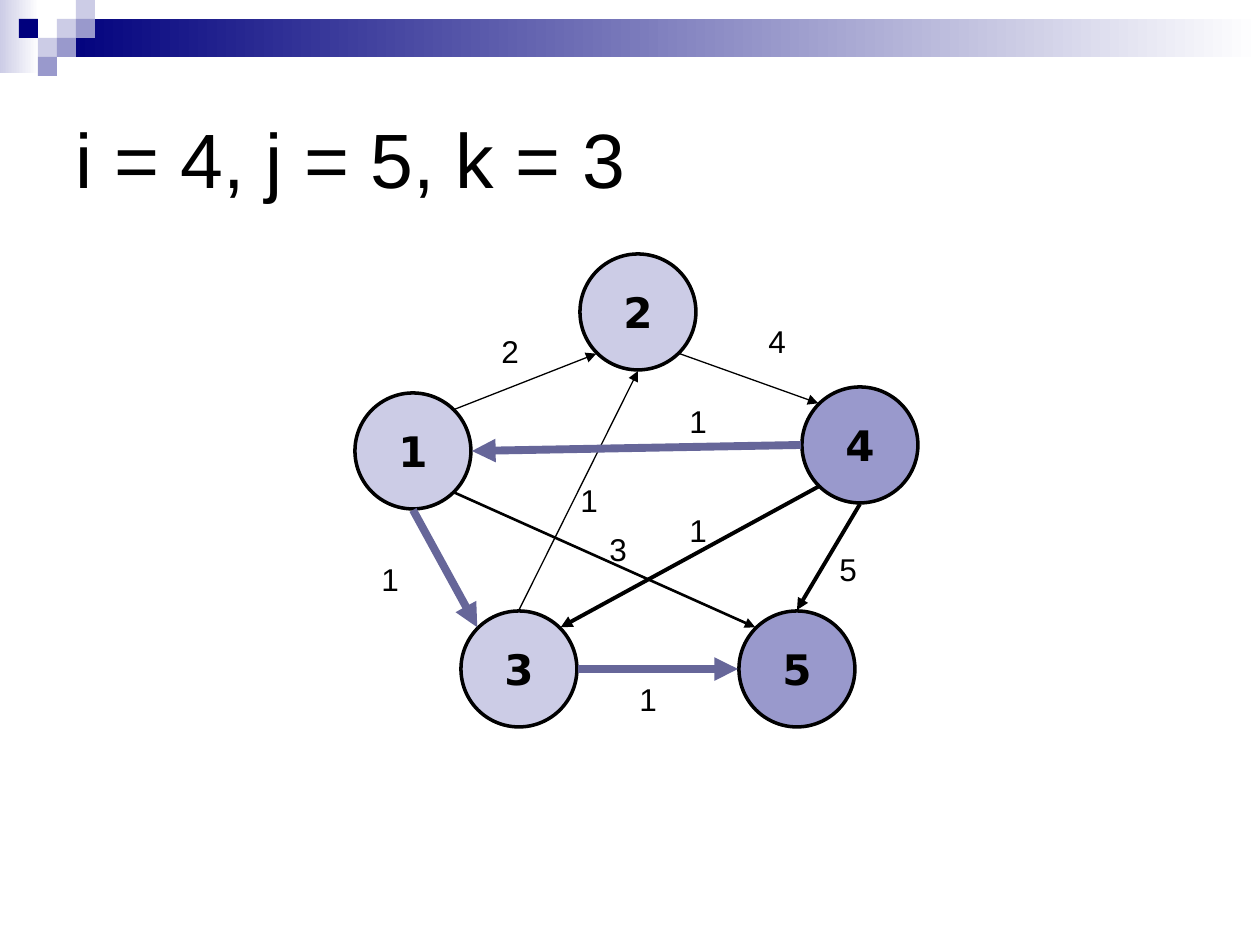
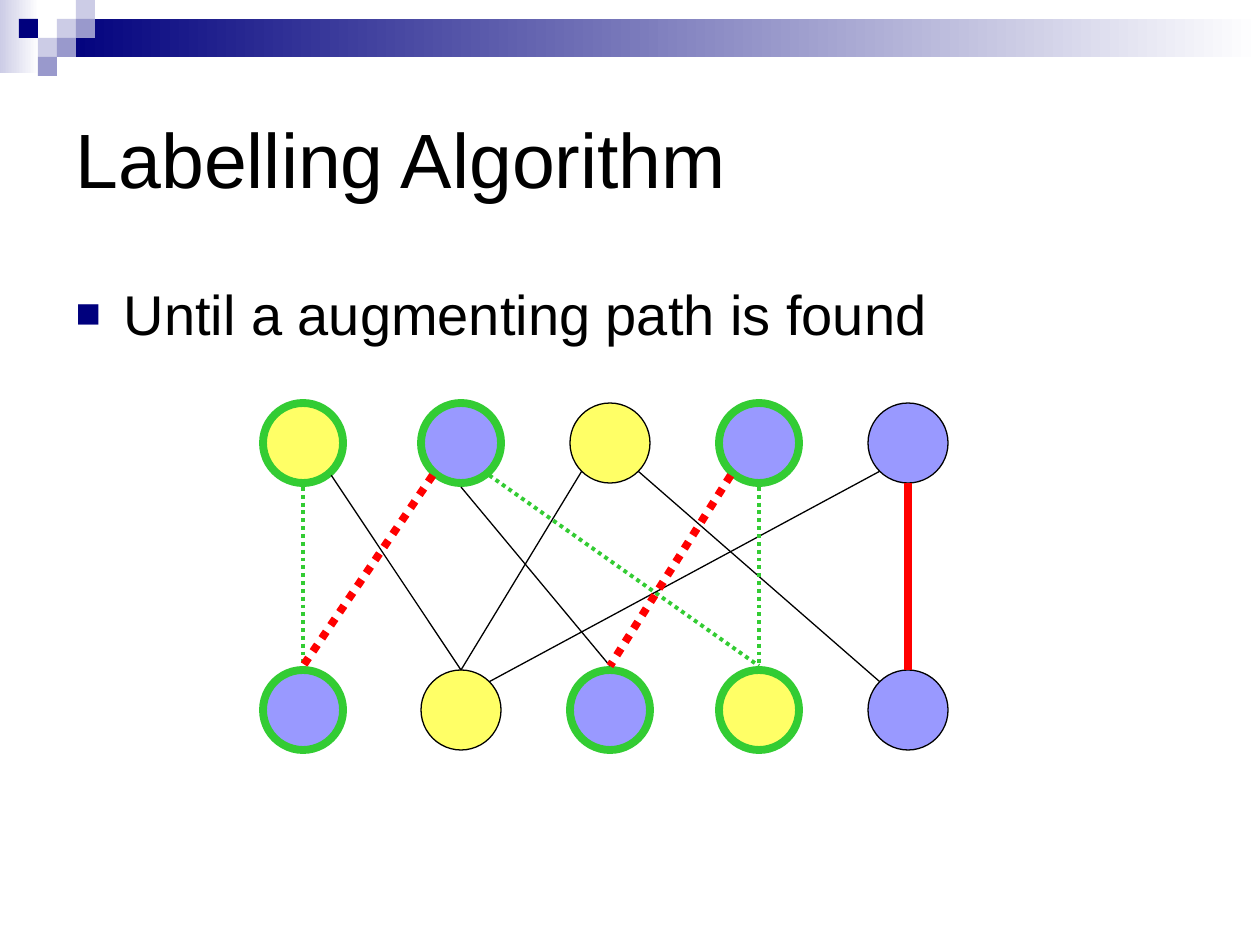
import lxml.etree
import pptx
import pptx.dml.color
import pptx.enum.dml
import pptx.enum.shapes
import pptx.enum.text
import pptx.oxml.ns
import pptx.util

RGBColor = pptx.dml.color.RGBColor
BLACK = RGBColor(0x00, 0x00, 0x00)
WHITE = RGBColor(0xFF, 0xFF, 0xFF)
NAVY = RGBColor(0x00, 0x00, 0x7D)
LAVENDER = RGBColor(0xCC, 0xCC, 0xE6)
PERIWINKLE = RGBColor(0x99, 0x99, 0xCC)
SLATE = RGBColor(0x66, 0x66, 0x99)
YELLOW = RGBColor(0xFF, 0xFF, 0x66)
VIOLET = RGBColor(0x99, 0x99, 0xFF)
GREEN = RGBColor(0x33, 0xCC, 0x33)
RED = RGBColor(0xFF, 0x00, 0x00)

MSO_SHAPE = pptx.enum.shapes.MSO_SHAPE
LEFT = pptx.enum.text.PP_ALIGN.LEFT
CENTER = pptx.enum.text.PP_ALIGN.CENTER
TOP_ANCHOR = pptx.enum.text.MSO_ANCHOR.TOP
MIDDLE_ANCHOR = pptx.enum.text.MSO_ANCHOR.MIDDLE
DOTTED = pptx.enum.dml.MSO_LINE.ROUND_DOT

EMU_PER_PX = 914400 / 126
SLIDE_WIDTH, SLIDE_HEIGHT = 1260, 945
TITLE_BOX = (63, 63, 1134, 189)
BODY_BOX = (63, 273, 1134, 536)
BULLET_INDENT = 48

GRADIENT_BANDS = [((0, 0, 39, 73), LAVENDER), ((57, 19, 1203, 38), NAVY)]
SQUARE = 19
SQUARES = [
    (3, 1, LAVENDER), (4, 0, LAVENDER), (4, 1, PERIWINKLE), (2, 2, LAVENDER),
    (1, 1, NAVY), (3, 2, PERIWINKLE), (2, 3, PERIWINKLE),
]

TITLE_FONT = {"name": "Arial", "size": pptx.util.Pt(44), "bold": False}
BODY_FONT = {"name": "Arial", "size": pptx.util.Pt(32), "bold": False}
NODE_FONT = {"name": "DejaVu Sans", "size": pptx.util.Pt(24), "bold": True}
WEIGHT_FONT = {"name": "Arial", "size": pptx.util.Pt(18), "bold": False}

DIAGONAL = 0.707
SIDES = {
    "top": (0, -1), "bottom": (0, 1), "left": (-1, 0), "right": (1, 0),
    "top left": (-DIAGONAL, -DIAGONAL), "top right": (DIAGONAL, -DIAGONAL),
    "bottom left": (-DIAGONAL, DIAGONAL), "bottom right": (DIAGONAL, DIAGONAL),
}

THIN = (BLACK, 0.75, None)
MEDIUM = (BLACK, 1.5, None)
THICK = (BLACK, 2.25, None)
SHORTEST = (SLATE, 4.5, None)
MATCHED = (RED, 4.5, None)
MATCHED_DOTS = (RED, 4.5, DOTTED)
LABELLED_DOTS = (GREEN, 2.25, DOTTED)
NODE_OUTLINE = (BLACK, 2, None)
LABELLED_OUTLINE = (GREEN, 4.5, None)

GRAPH_TITLE = "i = 4, j = 5, k = 3"
GRAPH_RADIUS = 58
GRAPH_NODES = {
    "1": (413, 451, LAVENDER),
    "2": (638, 312, LAVENDER),
    "4": (860, 445, PERIWINKLE),
    "3": (519, 669, LAVENDER),
    "5": (797, 669, PERIWINKLE),
}
GRAPH_EDGES = [
    ("1", "top right", "2", "bottom left", THIN, "2", (489, 326)),
    ("2", "bottom right", "4", "top left", THIN, "4", (756, 316)),
    ("4", "bottom", "5", "top", THICK, "5", (827, 544)),
    ("1", "bottom", "3", "top left", SHORTEST, "1", (369, 554)),
    ("1", "bottom right", "5", "top left", MEDIUM, "3", (597, 524)),
    ("4", "bottom left", "3", "top right", THICK, "1", (677, 505)),
    ("3", "right", "5", "left", SHORTEST, "1", (627, 674)),
    ("3", "top", "2", "bottom", THIN, "1", (568, 475)),
    ("4", "left", "1", "right", SHORTEST, "1", (677, 396)),
]
WEIGHT_SIZE = (43, 50)

MATCHING_TITLE = "Labelling Algorithm"
MATCHING_BULLET = "Until a augmenting path is found"
MATCHING_RADIUS = 40
OUTLINE_GAP = 4
COLUMN_CENTERS = [303, 461, 610, 759, 908]
MATCHING_ROWS = [
    (443, [(YELLOW, True), (VIOLET, True), (YELLOW, False), (VIOLET, True), (VIOLET, False)]),
    (710, [(VIOLET, True), (YELLOW, False), (VIOLET, True), (YELLOW, True), (VIOLET, False)]),
]
MATCHING_EDGES = [
    (0, "bottom right", 1, "top", THIN),
    (0, "bottom", 0, "top", LABELLED_DOTS),
    (1, "bottom right", 3, "top", LABELLED_DOTS),
    (1, "bottom", 2, "top", THIN),
    (1, "bottom left", 0, "top", MATCHED_DOTS),
    (4, "bottom left", 1, "top right", THIN),
    (4, "bottom", 4, "top", MATCHED),
    (2, "bottom right", 4, "top left", THIN),
    (3, "bottom left", 2, "top", MATCHED_DOTS),
    (3, "bottom", 3, "top", LABELLED_DOTS),
    (2, "bottom left", 1, "top", THIN),
]


def px(*lengths):
    return [pptx.util.Emu(round(length * EMU_PER_PX)) for length in lengths]


def set_attributes(target, values):
    for name, value in values.items():
        setattr(target, name, value)


def style_line(line, style):
    color, width, dash = style
    line.color.rgb = color
    line.width = pptx.util.Pt(width)
    if dash is not None:
        line.dash_style = dash


def add_filled_shape(slide, kind, box, color):
    shape = slide.shapes.add_shape(kind, *px(*box))
    shape.shadow.inherit = False
    shape.fill.solid()
    shape.fill.fore_color.rgb = color
    shape.line.fill.background()
    return shape


def write_text(shape, text, font, alignment=LEFT, anchor=TOP_ANCHOR, wrap=False):
    set_attributes(shape.text_frame, {
        "text": text,
        "word_wrap": wrap,
        "vertical_anchor": anchor,
        "auto_size": pptx.enum.text.MSO_AUTO_SIZE.NONE,
    })
    paragraph = shape.text_frame.paragraphs[0]
    paragraph.alignment = alignment
    run = paragraph.runs[0]
    set_attributes(run.font, font)
    run.font.color.rgb = BLACK
    return paragraph


def fill_placeholder(placeholder, box, text, font, anchor):
    set_attributes(placeholder, dict(zip(("left", "top", "width", "height"), px(*box))))
    return write_text(placeholder, text, font, anchor=anchor, wrap=True)


def add_bullet(paragraph):
    properties = paragraph._p.get_or_add_pPr()
    indent = px(BULLET_INDENT)[0]
    properties.set("marL", str(indent))
    properties.set("indent", str(-indent))
    qualified = pptx.oxml.ns.qn
    color = lxml.etree.SubElement(properties, qualified("a:buClr"))
    lxml.etree.SubElement(color, qualified("a:srgbClr"), val=str(NAVY))
    lxml.etree.SubElement(properties, qualified("a:buSzPct"), val="75000")
    lxml.etree.SubElement(properties, qualified("a:buFont"), typeface="Arial")
    lxml.etree.SubElement(properties, qualified("a:buChar"), char="■")


def add_node(slide, x, y, radius, color, outline):
    box = (x - radius, y - radius, 2 * radius, 2 * radius)
    shape = add_filled_shape(slide, MSO_SHAPE.OVAL, box, color)
    style_line(shape.line, outline)
    return shape


def anchor_point(x, y, radius, side, gap=0):
    across, down = SIDES[side]
    outward = (down > 0) - (down < 0)
    return x + across * radius, y + down * radius + outward * gap


def add_edge(slide, start, end, style, arrow=False):
    connector = slide.shapes.add_connector(
        pptx.enum.shapes.MSO_CONNECTOR.STRAIGHT, *px(*start, *end))
    style_line(connector.line, style)
    properties = connector.element.spPr
    qualified = pptx.oxml.ns.qn
    if arrow:
        line = properties.find(qualified("a:ln"))
        lxml.etree.SubElement(line, qualified("a:tailEnd"), type="triangle")
    lxml.etree.SubElement(properties, qualified("a:effectLst"))


def decorate_master(presentation, slide):
    shapes = []
    for box, color in GRADIENT_BANDS:
        band = add_filled_shape(slide, MSO_SHAPE.RECTANGLE, box, color)
        band.fill.gradient()
        band.fill.gradient_angle = 0
        for stop, stop_color, position in zip(band.fill.gradient_stops, (color, WHITE), (0, 1)):
            stop.color.rgb = stop_color
            stop.position = position
        shapes.append(band)
    for column, row, color in SQUARES:
        box = (column * SQUARE, row * SQUARE, SQUARE, SQUARE)
        shapes.append(add_filled_shape(slide, MSO_SHAPE.RECTANGLE, box, color))
    for shape in shapes:
        presentation.slide_master.shapes.element.append(shape.element)


def add_titled_slide(presentation, layout_index, title):
    slide = presentation.slides.add_slide(presentation.slide_layouts[layout_index])
    fill_placeholder(slide.shapes.title, TITLE_BOX, title, TITLE_FONT, MIDDLE_ANCHOR)
    return slide


def draw_graph(slide):
    for name, (x, y, color) in GRAPH_NODES.items():
        node = add_node(slide, x, y, GRAPH_RADIUS, color, NODE_OUTLINE)
        write_text(node, name, NODE_FONT, CENTER, MIDDLE_ANCHOR)
    for source, source_side, target, target_side, style, weight, position in GRAPH_EDGES:
        start, end = [
            anchor_point(*GRAPH_NODES[name][:2], GRAPH_RADIUS + 1, side)
            for name, side in ((source, source_side), (target, target_side))
        ]
        add_edge(slide, start, end, style, arrow=True)
    for *edge, weight, position in GRAPH_EDGES:
        label = slide.shapes.add_textbox(*px(*position, *WEIGHT_SIZE))
        write_text(label, weight, WEIGHT_FONT)


def draw_matching(slide):
    for y, nodes in MATCHING_ROWS:
        for x, (color, labelled) in zip(COLUMN_CENTERS, nodes):
            outline = LABELLED_OUTLINE if labelled else THIN
            add_node(slide, x, y, MATCHING_RADIUS, color, outline)
    for upper, upper_side, lower, lower_side, style in MATCHING_EDGES:
        points = []
        ends = ((upper, upper_side), (lower, lower_side))
        for (y, nodes), (column, side) in zip(MATCHING_ROWS, ends):
            gap = OUTLINE_GAP if nodes[column][1] else 0
            points.append(anchor_point(COLUMN_CENTERS[column], y, MATCHING_RADIUS, side, gap))
        add_edge(slide, *points, style)


def main():
    presentation = pptx.Presentation()
    presentation.slide_width, presentation.slide_height = px(SLIDE_WIDTH, SLIDE_HEIGHT)

    graph_slide = add_titled_slide(presentation, 5, GRAPH_TITLE)
    decorate_master(presentation, graph_slide)
    draw_graph(graph_slide)

    matching_slide = add_titled_slide(presentation, 1, MATCHING_TITLE)
    paragraph = fill_placeholder(
        matching_slide.placeholders[1], BODY_BOX, MATCHING_BULLET, BODY_FONT, TOP_ANCHOR)
    paragraph.space_before = pptx.util.Pt(8)
    add_bullet(paragraph)
    draw_matching(matching_slide)

    presentation.save("out.pptx")


if __name__ == "__main__":
    main()
